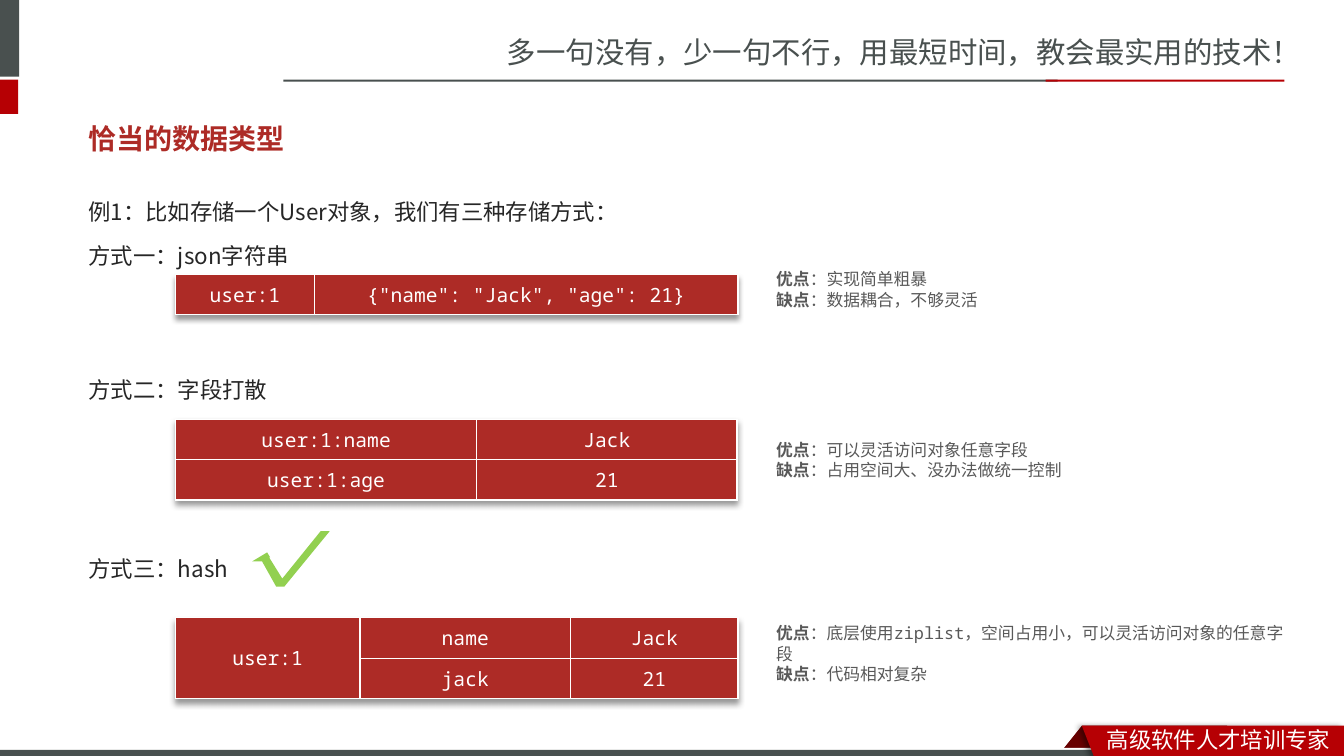
from lxml import etree
from pptx import Presentation
from pptx.dml.color import RGBColor
from pptx.enum.shapes import MSO_SHAPE
from pptx.enum.text import MSO_ANCHOR, PP_ALIGN
from pptx.oxml.ns import qn
from pptx.util import Inches, Pt

RECTANGLE = MSO_SHAPE.RECTANGLE
PARALLELOGRAM = MSO_SHAPE.PARALLELOGRAM
MIDDLE = MSO_ANCHOR.MIDDLE
CENTER = PP_ALIGN.CENTER

SANS = "Noto Sans CJK SC"
BODY = "Noto Sans CJK JP"
MONO = "Noto Sans Mono"
RED, BRIGHT_RED, DARK_RED = "AD2B26", "B60004", "680000"
GRAY, WHITE, GREEN = "49504F", "FFFFFF", "92D050"

HEADING = {"size": Pt(20), "name": "Calibri", "bold": True}
BODY_FONT = {"size": Pt(16), "name": BODY}
CELL_FONT = {"size": Pt(14), "name": MONO}
NOTE_FONT = {"size": Pt(12), "name": MONO}

BARS = [
    (RECTANGLE, 0, 0, 0.19, 0.76, GRAY),
    (RECTANGLE, 0, 0.79, 0.18, 0.34, BRIGHT_RED),
    (RECTANGLE, 2.81, 0.79, 7.68, 0.02, GRAY),
    (RECTANGLE, 10.37, 0.79, 2.37, 0.02, BRIGHT_RED),
    (RECTANGLE, 0, 7.44, 10.99, 0.06, GRAY),
]
RIBBON = [(10.73, 7.2), (13.33, 7.2), (13.33, 7.54), (10.86, 7.53)]
CHECK_MARK = [
    (3.18, 5.27), (3.27, 5.27), (2.82, 5.82), (2.74, 5.82), (2.6, 5.57),
    (2.5, 5.57), (2.65, 5.48), (2.68, 5.53), (2.67, 5.53), (2.8, 5.74),
]
BODY_LINES = [
    ("例1：比如存储一个User对象，我们有三种存储方式：", 0),
    ("方式一：json字符串", 3.2),
    ("方式二：字段打散", 67),
    ("方式三：hash", 99),
]
TABLES = [
    (2.72, [1.38, 4.2], [["user:1", '{"name": "Jack", "age": 21}']]),
    (4.16, [2.99, 2.58], [["user:1:name", "Jack"], ["user:1:age", "21"]]),
    (6.13, [1.83, 2.09, 1.66], [["user:1", "name", "Jack"], ["", "jack", "21"]]),
]
NOTES = [
    (2.62, 3.33, "实现简单粗暴", "数据耦合，不够灵活"),
    (4.31, 3.33, "可以灵活访问对象任意字段", "占用空间大、没办法做统一控制"),
    (6.13, 5.33, "底层使用ziplist，空间占用小，可以灵活访问对象的任意字段", "代码相对复杂"),
]


def color(value):
    """Turn a hex string into a colour."""
    return RGBColor.from_string(value)


def apply_format(target, values):
    """Set each attribute named in a dict."""
    for name, value in values.items():
        setattr(target, name, value)


def add_run(paragraph, text, font, fill, **extra):
    """Append a formatted run to a paragraph."""
    run = paragraph.add_run()
    run.text = text
    apply_format(run.font, {**font, **extra})
    run.font.color.rgb = color(fill)
    properties = run.font._element
    east_asian = etree.SubElement(properties, qn("a:ea"))
    east_asian.set("typeface", BODY if font["name"] == BODY else SANS)


def paint(shape, fill):
    """Give a shape a plain fill without line or shadow."""
    shape.shadow.inherit = False
    shape.fill.solid()
    shape.fill.fore_color.rgb = color(fill)
    shape.line.fill.background()


def add_bar(slide, kind, left, top, width, height, fill):
    """Draw a filled preset shape."""
    shape = slide.shapes.add_shape(
        kind, Inches(left), Inches(top), Inches(width), Inches(height))
    paint(shape, fill)
    return shape


def add_polygon(slide, points, fill):
    """Draw a closed outline through points in inches."""
    corners = [(Inches(x), Inches(y)) for x, y in points]
    builder = slide.shapes.build_freeform(*corners[0])
    builder.add_line_segments(corners[1:], close=True)
    shape = builder.convert_to_shape()
    paint(shape, fill)
    return shape


def add_shadow(effects, distance, direction):
    """Put a soft black shadow into an effect list."""
    shadow = etree.SubElement(
        effects, qn("a:outerShdw"), blurRad=str(Pt(4)), dist=str(Pt(distance)),
        dir=str(direction * 60000), algn="tl", rotWithShape="0")
    black = etree.SubElement(shadow, qn("a:srgbClr"), val="000000")
    etree.SubElement(black, qn("a:alpha"), val="40000")


def add_text(slide, left, top, width, height, wrap=True):
    """Add an empty text box and return its frame."""
    box = slide.shapes.add_textbox(
        Inches(left), Inches(top), Inches(width), Inches(height))
    box.text_frame.word_wrap = wrap
    return box.text_frame


def next_paragraph(frame, index):
    """Return the first paragraph or a new one."""
    return frame.add_paragraph() if index else frame.paragraphs[0]


def add_label(slide, text, place, font, fill, wrap=False):
    """Add a text box with one line, centred vertically."""
    frame = add_text(slide, *place, wrap)
    frame.vertical_anchor = MIDDLE
    add_run(frame.paragraphs[0], text, font, fill)


def add_body(slide):
    """Add the example and the names of the three ways."""
    frame = add_text(slide, 0.78, 1.78, 11.7, 4.22)
    for index, (text, gap) in enumerate(BODY_LINES):
        paragraph = next_paragraph(frame, index)
        apply_format(paragraph, {"line_spacing": Pt(28.7), "space_before": Pt(gap)})
        add_run(paragraph, text, BODY_FONT, "262626")


def add_note(slide, top, width, benefit, drawback):
    """Add the benefit and drawback of one way."""
    frame = add_text(slide, 7.6, top, width, 0.5)
    for index, (name, text) in enumerate([("优点", benefit), ("缺点", drawback)]):
        paragraph = next_paragraph(frame, index)
        paragraph.line_spacing = Pt(14.5)
        add_run(paragraph, name, NOTE_FONT, "595959", bold=True)
        add_run(paragraph, "：" + text, NOTE_FONT, "595959", bold=False)


def format_cell(cell, text):
    """Fill one cell, border it in white and write its text."""
    cell.fill.solid()
    cell.fill.fore_color.rgb = color(RED)
    cell.vertical_anchor = MIDDLE
    properties = cell._tc.get_or_add_tcPr()
    for index, side in enumerate(["lnL", "lnR", "lnT", "lnB"]):
        line = etree.Element(qn("a:" + side), w=str(Pt(1)))
        fill = etree.SubElement(line, qn("a:solidFill"))
        etree.SubElement(fill, qn("a:srgbClr"), val=WHITE)
        properties.insert(index, line)
    if text:
        paragraph = cell.text_frame.paragraphs[0]
        paragraph.alignment = CENTER
        add_run(paragraph, text, CELL_FONT, WHITE)


def add_storage_table(slide, top, widths, rows):
    """Add a red table, merging downwards over empty first cells."""
    table = slide.shapes.add_table(
        len(rows), len(widths), Inches(1.74), Inches(top),
        Inches(sum(widths)), Inches(0.4 * len(rows))).table
    apply_format(table, {"first_row": False, "horz_banding": False})
    effects = etree.Element(qn("a:effectLst"))
    add_shadow(effects, 3, 90)
    table._tbl.tblPr.insert(0, effects)
    for column, width in zip(table.columns, widths):
        column.width = Inches(width)
    for row_index, row in enumerate(rows):
        table.rows[row_index].height = Inches(0.4)
        for column_index, text in enumerate(row):
            format_cell(table.cell(row_index, column_index), text)
    if not rows[-1][0]:
        table.cell(0, 0).merge(table.cell(len(rows) - 1, 0))


def main():
    """Build the slide and save it."""
    presentation = Presentation()
    apply_format(presentation, {"slide_width": Inches(13.33), "slide_height": Inches(7.5)})
    slide = presentation.slides.add_slide(presentation.slide_layouts[6])
    fold = add_bar(slide, PARALLELOGRAM, 10.49, 7.2, 1.68, 0.3, DARK_RED)
    fold.adjustments[0] = 0.8
    add_bar(slide, RECTANGLE, 0, 7.42, 13.33, 0.08, WHITE)
    for bar in BARS:
        add_bar(slide, *bar)
    ribbon = add_polygon(slide, RIBBON, BRIGHT_RED)
    add_shadow(ribbon._element.spPr.find(qn("a:effectLst")), 3, 180)
    add_label(slide, "多一句没有，少一句不行，用最短时间，教会最实用的技术！",
              (4.93, 0.28, 8.41, 0.47), {"size": Pt(21), "name": SANS}, GRAY)
    add_label(slide, "高级软件人才培训专家", (10.88, 7.15, 2.45, 0.37),
              {"size": Pt(16), "name": SANS}, WHITE)
    add_body(slide)
    add_label(slide, "恰当的数据类型", (0.78, 1.16, 11.7, 0.42), HEADING, RED, wrap=True)
    for table in TABLES:
        add_storage_table(slide, *table)
    add_polygon(slide, CHECK_MARK, GREEN)
    for note in NOTES:
        add_note(slide, *note)
    presentation.save("out.pptx")


if __name__ == "__main__":
    main()
